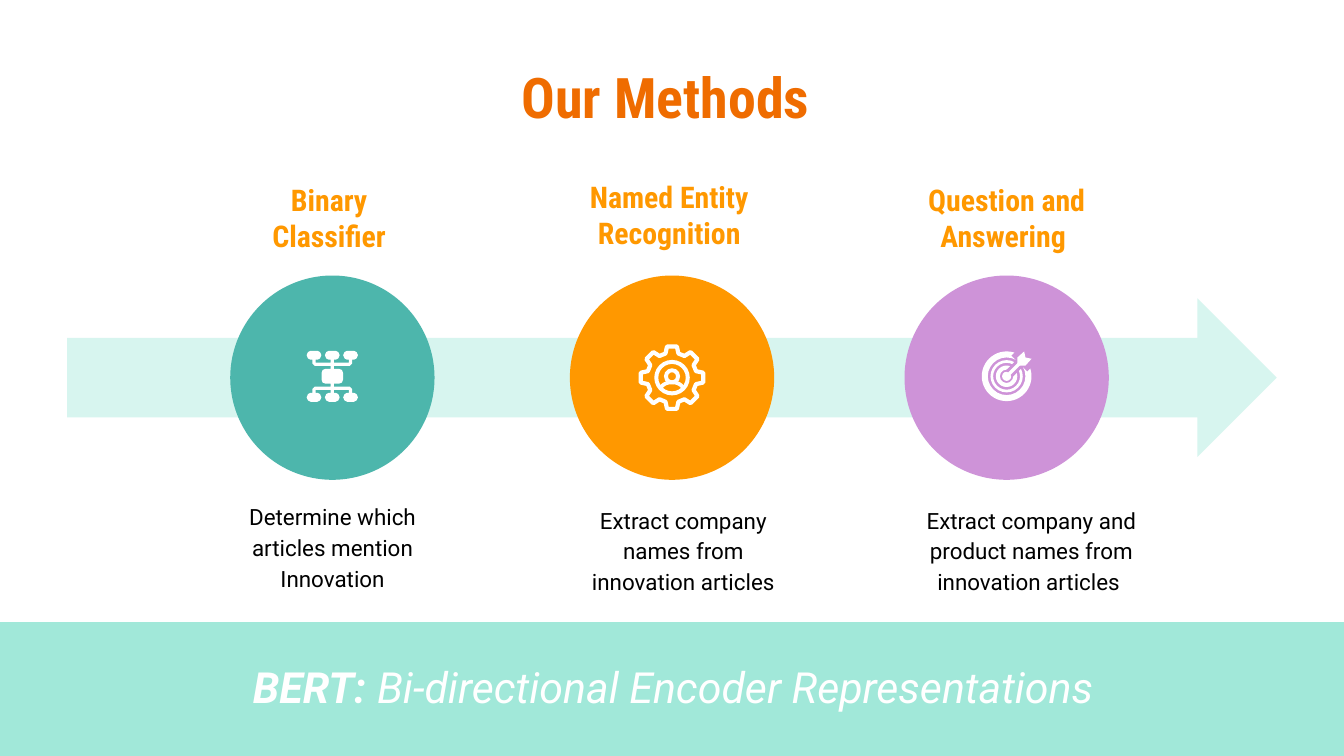
from dataclasses import dataclass
from math import cos, pi, radians, sin

from lxml.etree import SubElement
from pptx import Presentation
from pptx.dml.color import RGBColor
from pptx.enum.shapes import MSO_CONNECTOR, MSO_SHAPE
from pptx.enum.text import MSO_ANCHOR, PP_ALIGN
from pptx.oxml.ns import qn
from pptx.util import Inches, Pt

# The slide is a grid of square cells.
COLUMNS, ROWS = 100, 56.25
CELL = Inches(0.1)
WHITE, ORANGE, MINT = "FFFFFF", "FF9800", "A1E8D9"
DISC_SIZE, DISC_ROW = 15.2, 28.1

Point = tuple[float, float]


@dataclass
class Box:
    left: float
    top: float
    width: float
    height: float


@dataclass
class TextStyle:
    size: float
    font: str
    color: str
    bold: bool = False
    italic: bool = False
    inset: float = 1
    anchor: MSO_ANCHOR = MSO_ANCHOR.MIDDLE
    spacing: float | None = None


@dataclass
class Method:
    color: str
    center: float
    heading: list[str]
    heading_box: Box
    description: str
    description_box: Box


TITLE = TextStyle(30, "Roboto Condensed", "EF6C00", bold=True)
HEADING = TextStyle(16, "Roboto Condensed", ORANGE, bold=True, inset=2.5)
BODY = TextStyle(12, "Roboto", "000000", anchor=MSO_ANCHOR.TOP, spacing=1.15)
BANNER = TextStyle(23, "Roboto", WHITE, italic=True, spacing=0.89)

METHODS = [
    Method("4DB6AC", 24.73, ["Binary ", "Classifier "], Box(13.6, 12.35, 22.3, 7.7),
           "Determine which articles mention Innovation", Box(16.75, 36.15, 16, 10.7)),
    Method(ORANGE, 50, ["Named Entity Recognition"], Box(36.8, 12.1, 26, 7.7),
           "Extract company names from innovation articles", Box(42.85, 36.4, 16, 10.7)),
    Method("CE93D8", 74.9, ["Question and Answering "], Box(63.75, 12.35, 22.3, 7.7),
           "Extract company and product names from innovation articles ",
           Box(66.1, 36.4, 21.3, 10.7)),
]

# Upper right quarter of the tree icon, clockwise from its middle axis.
TREE_QUARTER = [
    (0.25, -1.9), (0.45, -1.8), (0.55, -1.57), (0.45, -1.33), (0.25, -1.23),
    (0.12, -1.23), (0.12, -1.02), (1.24, -1.02), (1.24, -1.23),
    (1.11, -1.23), (0.91, -1.33), (0.81, -1.57), (0.91, -1.8), (1.11, -1.9),
    (1.61, -1.9), (1.81, -1.8), (1.91, -1.57), (1.81, -1.33), (1.61, -1.23),
    (1.48, -1.23), (1.48, -0.95), (1.31, -0.78), (0.12, -0.78),
    (0.12, -0.55), (0.5, -0.55), (0.72, -0.47), (0.8, -0.25),
]
FLETCHING = [(0.8, -0.8), (0.8, -1.4), (1.3, -1.85), (1.4, -1.4), (1.85, -1.3), (1.4, -0.8)]


def cells(count: float) -> int:
    return round(count * CELL)


def paint(format_part, color: str) -> None:
    format_part.solid()
    format_part.fore_color.rgb = RGBColor.from_string(color)


def add_preset(shapes, kind: MSO_SHAPE, box: Box, color: str):
    shape = shapes.add_shape(kind, cells(box.left), cells(box.top),
                             cells(box.width), cells(box.height))
    shape.shadow.inherit = False
    paint(shape.fill, color)
    shape.line.fill.background()
    return shape


def add_disc(shapes, center: Point, radius: float, color: str, hole: float = 0) -> None:
    """Draw a disc, or a ring when the hole has a radius."""
    kind = MSO_SHAPE.DONUT if hole else MSO_SHAPE.OVAL
    box = Box(center[0] - radius, center[1] - radius, 2 * radius, 2 * radius)
    disc = add_preset(shapes, kind, box, color)
    if hole:
        disc.adjustments[0] = (radius - hole) / (2 * radius)


def add_outline(shapes, center: Point, offsets: list[Point],
                width: float = 0, closed: bool = True) -> None:
    """Draw white points around a center as a line of the given width, or filled when it is 0."""
    corners = [(cells(center[0] + dx), cells(center[1] + dy)) for dx, dy in offsets]
    builder = shapes.build_freeform(*corners[0], scale=1.0)
    builder.add_line_segments(corners[1:], close=closed)
    shape = builder.convert_to_shape()
    shape.shadow.inherit = False
    if width:
        shape.fill.background()
        paint(shape.line.fill, WHITE)
        shape.line.width = Pt(width)
    else:
        paint(shape.fill, WHITE)
        shape.line.fill.background()


def add_line(shapes, start: Point, end: Point, color: str, width: float) -> None:
    line = shapes.add_connector(MSO_CONNECTOR.STRAIGHT, *map(cells, start + end))
    paint(line.line.fill, color)
    line.line.width = Pt(width)
    SubElement(line._element.spPr, qn("a:effectLst"))


def write(shape, lines: list[str], style: TextStyle, bold_lead: str = "") -> None:
    frame = shape.text_frame
    frame.word_wrap = True
    frame.vertical_anchor = style.anchor
    frame.margin_left = frame.margin_right = cells(style.inset)
    frame.margin_top = frame.margin_bottom = cells(style.inset)
    for index, line in enumerate(lines):
        paragraph = frame.paragraphs[0] if index == 0 else frame.add_paragraph()
        paragraph.alignment = PP_ALIGN.CENTER
        paragraph.line_spacing = style.spacing
        font = paragraph.font
        font.size, font.name = Pt(style.size), style.font
        font.bold, font.italic = style.bold, style.italic
        font.color.rgb = RGBColor.from_string(style.color)
        if bold_lead:
            lead = paragraph.add_run()
            lead.text, lead.font.bold = bold_lead, True
        paragraph.add_run().text = line


def add_text(shapes, box: Box, lines: list[str], style: TextStyle) -> None:
    write(shapes.add_textbox(cells(box.left), cells(box.top),
                             cells(box.width), cells(box.height)), lines, style)


def draw_tree_icon(shapes, center: Point) -> None:
    right = TREE_QUARTER + [(dx, -dy) for dx, dy in reversed(TREE_QUARTER)]
    add_outline(shapes, center, right + [(-dx, dy) for dx, dy in reversed(right)])


def draw_gear_icon(shapes, center: Point) -> None:
    teeth = 8
    rim = [(radius * cos(angle), radius * sin(angle))
           for tooth in range(teeth)
           for radius, offset in ((1.86, -15), (2.35, -9), (2.35, 9), (1.86, 15))
           for angle in [2 * pi * tooth / teeth + radians(offset)]]
    add_outline(shapes, center, rim, width=2.25)
    add_disc(shapes, center, 1.32, WHITE, hole=1.02)
    add_disc(shapes, (center[0], center[1] - 0.1), 0.6, WHITE, hole=0.3)
    shoulders = [(0.85 * cos(angle), 0.9 - 0.55 * sin(angle))
                 for angle in (pi * step / 12 for step in range(13))]
    add_outline(shapes, center, shoulders, width=2, closed=False)


def draw_target_icon(shapes, center: Point, background: str) -> None:
    x, y = center
    for radius, hole in ((1.85, 1.4), (1.2, 1), (0.8, 0.5), (0.34, 0)):
        add_disc(shapes, center, radius, WHITE, hole)
    for start, end, color, width in ((0.2, 1.5, background, 5),
                                     (0.95, 1.6, background, 12),
                                     (0, 1.2, WHITE, 1.75)):
        add_line(shapes, (x + start, y - start), (x + end, y - end), color, width)
    add_outline(shapes, center, FLETCHING)


def main() -> None:
    presentation = Presentation()
    presentation.slide_width = cells(COLUMNS)
    presentation.slide_height = cells(ROWS)
    slide = presentation.slides.add_slide(presentation.slide_layouts[6])
    shapes = slide.shapes

    add_text(shapes, Box(5, 4.5, 90, 5.3), ["Our Methods "], TITLE)
    arrow = add_preset(shapes, MSO_SHAPE.RIGHT_ARROW, Box(5, 22.2, 90, 11.8), MINT)
    color_element = arrow._element.spPr.find(f".//{qn('a:srgbClr')}")
    SubElement(color_element, qn("a:alpha"), val="42000")

    for method in METHODS:
        add_disc(shapes, (method.center, DISC_ROW), DISC_SIZE / 2, method.color)
        add_text(shapes, method.heading_box, method.heading, HEADING)
        add_text(shapes, method.description_box, [method.description], BODY)

    classifier, recognition, answering = METHODS
    draw_tree_icon(shapes, (classifier.center, 28))
    draw_gear_icon(shapes, (recognition.center, DISC_ROW))
    draw_target_icon(shapes, (answering.center, 28), answering.color)

    banner = add_preset(shapes, MSO_SHAPE.RECTANGLE, Box(0, 46.3, 100.3, 10), MINT)
    write(banner, ["Bi-directional Encoder Representations"], BANNER, bold_lead="BERT: ")
    presentation.save("out.pptx")


if __name__ == "__main__":
    main()
